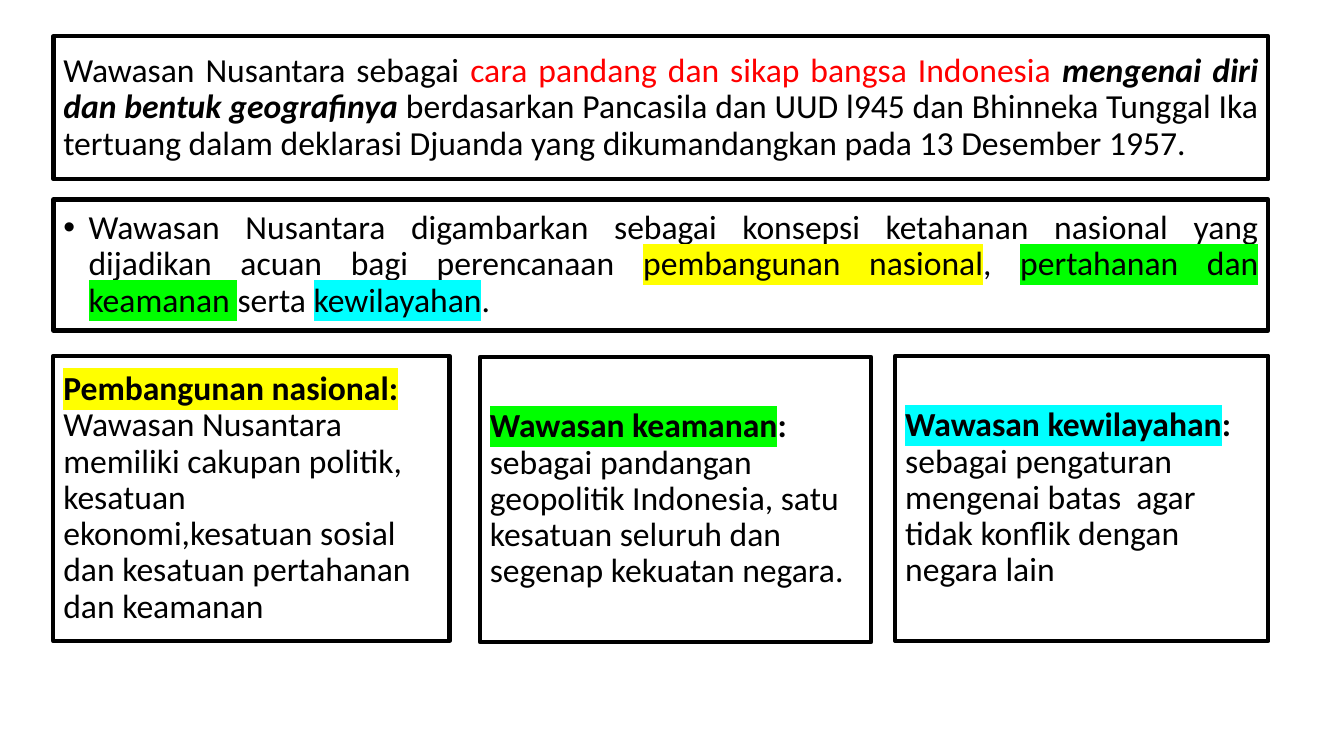
from lxml.etree import SubElement
from pptx import Presentation
from pptx.dml.color import RGBColor as Rgb
from pptx.enum.shapes import MSO_SHAPE as Shape
from pptx.enum.text import MSO_ANCHOR as Anchor, PP_ALIGN as Align
from pptx.oxml.ns import qn
from pptx.util import Inches, Pt

COLORS = {
    "white": "FFFFFF",
    "black": "000000",
    "red": "FF0000",
    "yellow": "FFFF00",
    "green": "00FF00",
    "cyan": "00FFFF",
}


class Board:
    font = {"name": "Calibri", "size": Pt(24), "bold": False, "italic": False}
    paragraph = {"line_spacing": 0.9, "space_before": Pt(10)}
    frame = {"word_wrap": True, "vertical_anchor": Anchor.MIDDLE}

    def __init__(self, slide):
        self.slide = slide

    def apply(self, target, values):
        for name, value in values.items():
            setattr(target, name, value)

    def box(self, left, top, width, height, parts, align=Align.LEFT, bullet=None):
        panel = self.slide.shapes.add_shape(
            Shape.RECTANGLE, *(Inches(n) for n in (left, top, width, height)))
        panel.shadow.inherit = False
        panel.fill.solid()
        panel.fill.fore_color.rgb = Rgb.from_string(COLORS["white"])
        panel.line.color.rgb = Rgb.from_string(COLORS["black"])
        panel.line.width = Pt(3)
        self.apply(panel.text_frame, self.frame)
        sentence = panel.text_frame.paragraphs[0]
        self.apply(sentence, {**self.paragraph, "alignment": align})
        if bullet:
            self.bullet(sentence, bullet)
        for wording, style in parts:
            self.run(sentence, wording, **style)

    def bullet(self, sentence, mark):
        props = sentence._p.get_or_add_pPr()
        props.set("marL", str(Inches(0.25)))
        props.set("indent", str(Inches(-0.25)))
        SubElement(props, qn("a:buFont"), typeface="Arial")
        SubElement(props, qn("a:buChar"), char=mark)

    def run(self, sentence, wording, color="black", highlight=None, **emphasis):
        phrase = sentence.add_run()
        phrase.text = wording
        self.apply(phrase.font, {**self.font, **emphasis})
        phrase.font.color.rgb = Rgb.from_string(COLORS[color])
        if highlight:
            props = phrase._r.get_or_add_rPr()
            marker = SubElement(props, qn("a:highlight"))
            SubElement(marker, qn("a:srgbClr"), val=COLORS[highlight])
            props.find(qn("a:solidFill")).addnext(marker)


def main():
    deck = Presentation()
    deck.slide_width, deck.slide_height = Inches(13.33), Inches(7.5)
    board = Board(deck.slides.add_slide(deck.slide_layouts[6]))
    margin, full_width = 0.53, 12.05

    board.box(margin, 0.36, full_width, 1.42, [
        ("Wawasan Nusantara sebagai ", {}),
        ("cara pandang dan sikap bangsa Indonesia ", {"color": "red"}),
        ("mengenai diri dan bentuk geografinya ", {"bold": True, "italic": True}),
        ("berdasarkan Pancasila dan UUD l945 dan Bhinneka Tunggal Ika tertuang "
         "dalam deklarasi Djuanda yang dikumandangkan pada 13 Desember 1957. ", {}),
    ], Align.JUSTIFY)

    board.box(margin, 1.98, full_width, 1.3, [
        ("Wawasan Nusantara digambarkan sebagai konsepsi ketahanan nasional "
         "yang dijadikan acuan bagi perencanaan ", {}),
        ("pembangunan nasional", {"highlight": "yellow"}),
        (", ", {}),
        ("pertahanan dan keamanan ", {"highlight": "green"}),
        ("serta ", {}),
        ("kewilayahan", {"highlight": "cyan"}),
        (".", {}),
    ], Align.JUSTIFY, "•")

    aspects = [
        (margin, 3.53, 3.93, "yellow", "Pembangunan nasional:", " ",
         "Wawasan Nusantara memiliki cakupan politik, kesatuan ekonomi,kesatuan "
         "sosial dan kesatuan pertahanan dan keamanan"),
        (4.76, 3.54, 3.88, "green", "Wawasan keamanan", ": ",
         "sebagai pandangan geopolitik Indonesia, satu kesatuan seluruh dan "
         "segenap kekuatan negara."),
        (8.88, 3.53, 3.7, "cyan", "Wawasan kewilayahan", ": ",
         "sebagai pengaturan mengenai batas  agar tidak konflik dengan negara lain"),
    ]
    for left, top, width, highlight, term, separator, meaning in aspects:
        board.box(left, top, width, 2.83, [
            (term, {"bold": True, "highlight": highlight}),
            (separator, {"bold": True}),
            (meaning, {}),
        ])

    deck.save("out.pptx")


if __name__ == "__main__":
    main()
